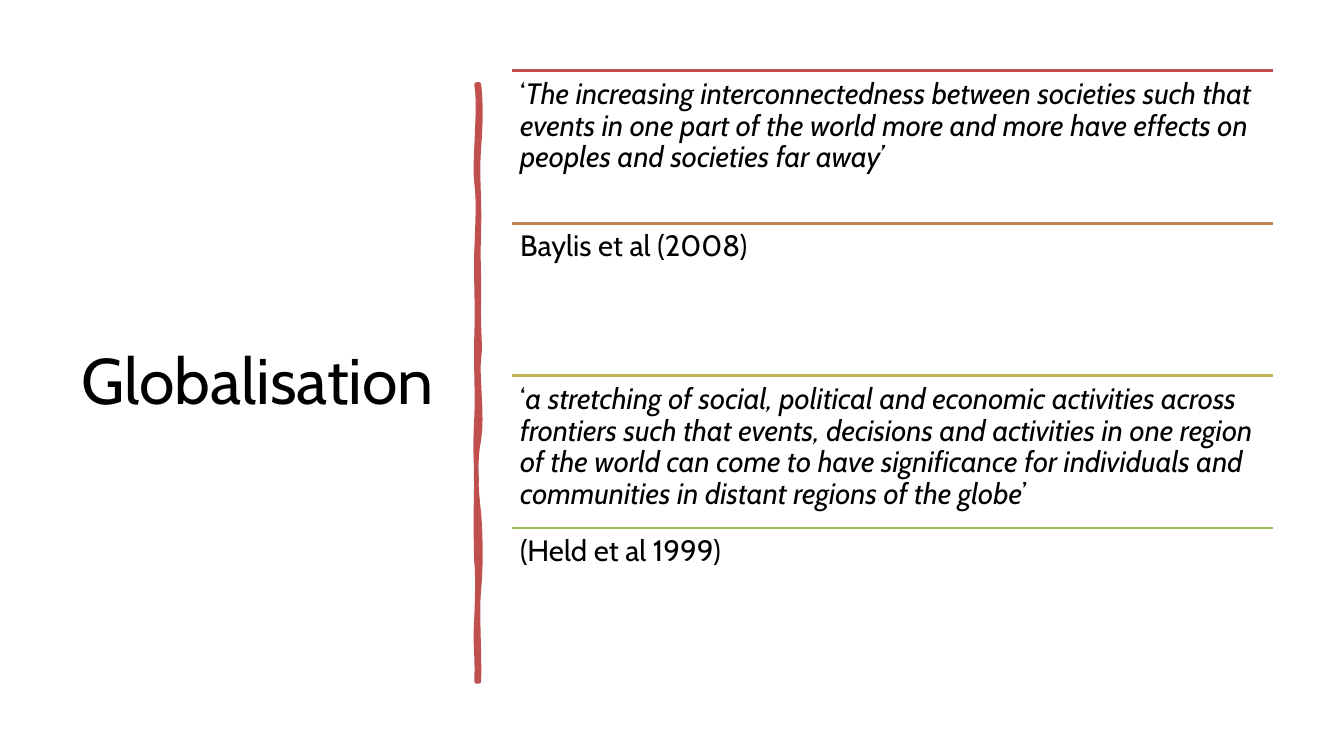
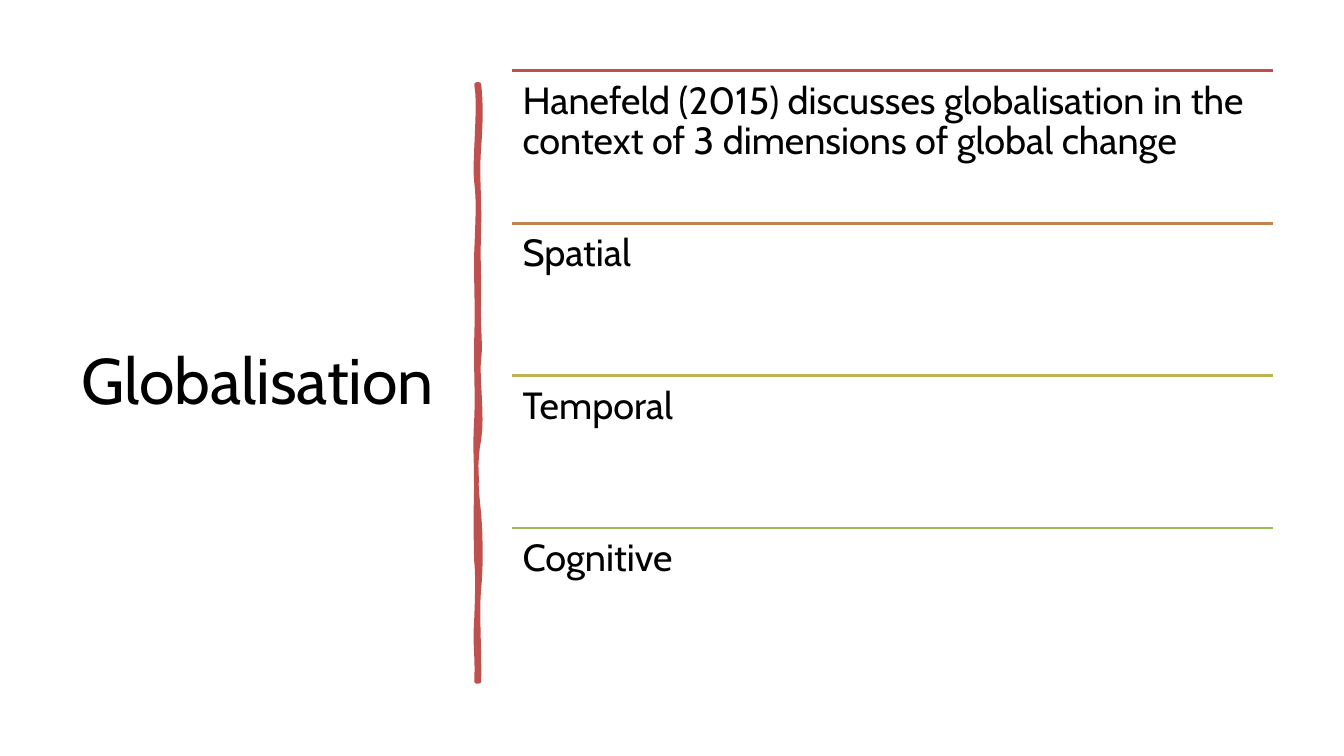
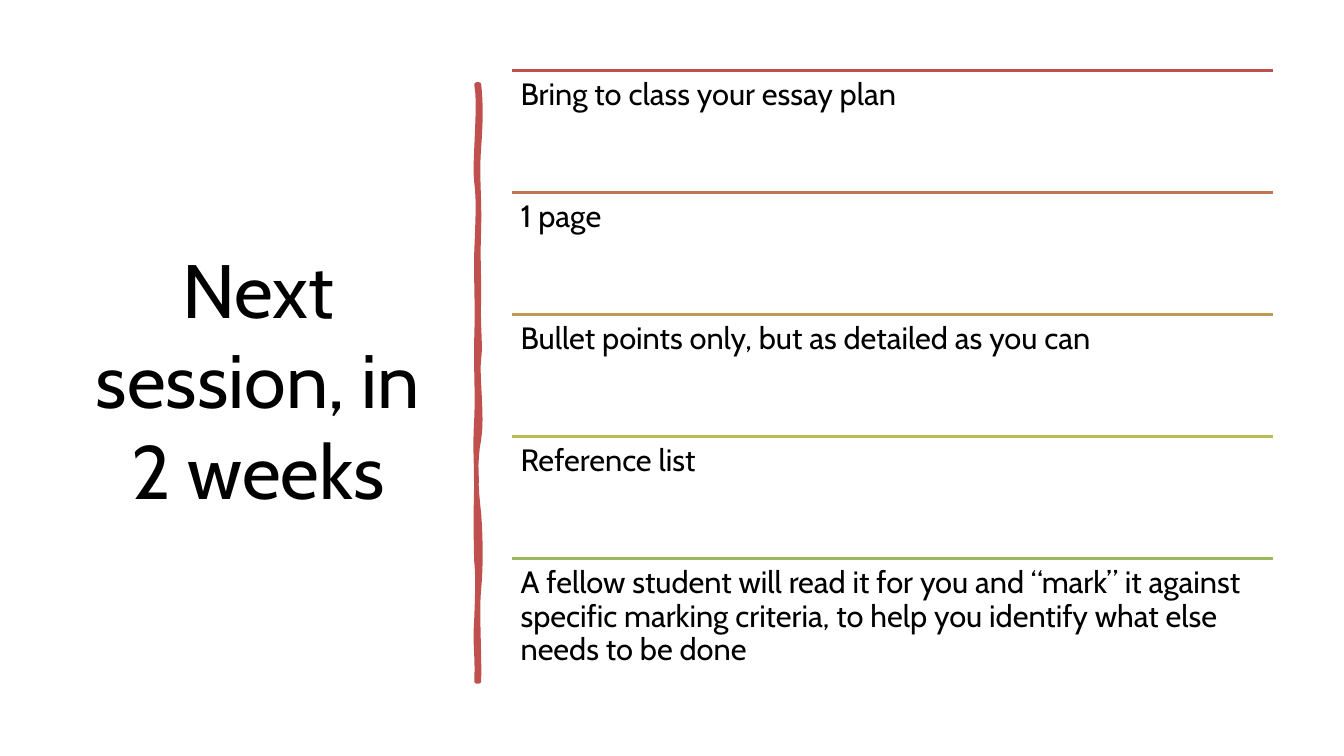
import colorsys
from dataclasses import dataclass

from lxml import etree
from pptx import Presentation
from pptx.dml.color import RGBColor
from pptx.enum import shapes, text
from pptx.oxml import ns
from pptx.util import Cm, Pt

# Each row is a list of (text, italic) spans.
SLIDES = [
    {"title": "Globalisation", "title_size": 46, "row_size": 21, "rows": [
        [("‘", False),
         ("The increasing interconnectedness between societies such that events in one "
          "part of the world more and more have effects on peoples and societies far away’",
          True)],
        [("Baylis et al (2008)", False)],
        [("‘", False),
         ("a stretching of social, political and economic activities across frontiers such "
          "that events, decisions and activities in one region of the world can come to have "
          "significance for individuals and communities in distant regions of the globe", True),
         ("’", False)],
        [("(Held et al 1999)", False)],
    ]},
    {"title": "Globalisation", "title_size": 46, "row_size": 27, "rows": [
        [("Hanefeld (2015) discusses globalisation in the context of 3 dimensions of "
          "global change", False)],
        [("Spatial", False)],
        [("Temporal", False)],
        [("Cognitive", False)],
    ]},
    {"title": "Next session, in 2 weeks", "title_size": 54, "row_size": 22, "rows": [
        [("Bring to class your essay plan", False)],
        [("1 page", False)],
        [("Bullet points only, but as detailed as you can", False)],
        [("Reference list", False)],
        [("A fellow student will read it for you and “mark” it against specific marking "
          "criteria, to help you identify what else needs to be done", False)],
    ]},
]


@dataclass(frozen=True)
class Theme:
    font: str = "Cabin"
    ink: str = "000000"
    first_rule: str = "C0504D"
    last_rule: str = "9BBB59"
    rule_width: float = 2
    bar_width: float = 3.25
    row_spacing: float = 0.9
    inset_per_point: float = 0.01


THEME = Theme()

# Lengths in centimetres: left, top, width, height
PAGE = (33.87, 19.05)
TITLE_AREA = (1.75, 1.78, 9.5, 15.52)
ROW_AREA = (12.9, 1.78, 19.18, 15.37)

# Hand-drawn bar: x offsets from its axis and y positions.
# Each curve holds two control points and an end point.
BAR_AXIS = 12.04
BAR_TOP, BAR_BOTTOM, BAR_HALF = 2.13, 17.17, 0.03
RIGHT_EDGE = [
    ((0.08, 2.59), (0.08, 3.02), (0.03, 3.71)),
    ((-0.03, 4.39), (0.05, 4.95), (0.03, 5.74)),
    ((0, 6.53), (0.03, 6.65), (0.03, 7.47)),
    ((0, 8.26), (0.08, 8.69), (0.03, 9.04)),
    ((-0.03, 9.4), (0.13, 10.52), (0.03, 11.07)),
    ((-0.08, 11.61), (-0.05, 12.29), (0.03, 12.95)),
    ((0.08, 13.61), (0.08, 14.33), (0.03, 14.83)),
    ((-0.03, 15.32), (0.05, 16.51), (0.03, 17.17)),
]
LEFT_EDGE = [
    ((0, 16.41), (-0.08, 16.36), (-0.03, 15.57)),
    ((0, 14.81), (0, 14.48), (-0.03, 14.15)),
    ((-0.05, 13.82), (-0.05, 12.57), (-0.03, 12.12)),
    ((-0.03, 11.66), (-0.08, 11.4), (-0.03, 10.54)),
    ((0, 9.8), (-0.05, 9.47), (-0.03, 8.51)),
    ((0, 7.57), (-0.05, 7.14), (-0.03, 6.35)),
    ((0, 5.54), (0.03, 5.08), (-0.03, 4.6)),
    ((-0.1, 4.14), (0.08, 2.64), (-0.03, 2.13)),
]


def rgb(value):
    return RGBColor.from_string(value)


def blend(share):
    """Colour between the first and last rule, mixed by hue."""
    ends = []
    for value in (THEME.first_rule, THEME.last_rule):
        ends.append(colorsys.rgb_to_hls(*(part / 255 for part in rgb(value))))
    mixed = [a + (b - a) * share for a, b in zip(*ends)]
    return RGBColor(*(round(part * 255) for part in colorsys.hls_to_rgb(*mixed)))


def trace(start, curves, steps=8):
    """Points along a chain of cubic curves, start included."""
    points = [start]
    for c1, c2, end in curves:
        p0 = points[-1]
        for step in range(1, steps + 1):
            t = step / steps
            u = 1 - t
            points.append(tuple(
                u**3 * a + 3 * u * u * t * b + 3 * u * t * t * c + t**3 * d
                for a, b, c, d in zip(p0, c1, c2, end)))
    return points


def add_text(page, area, spans, size, inset=None, **layout):
    box = page.shapes.add_textbox(*(Cm(length) for length in area))
    frame = box.text_frame
    frame.word_wrap = True
    frame.vertical_anchor = layout.pop("anchor", text.MSO_ANCHOR.TOP)
    if inset is not None:
        for side in ("left", "top", "right", "bottom"):
            setattr(frame, f"margin_{side}", Cm(inset))
    para = frame.paragraphs[0]
    for name, value in layout.items():
        setattr(para, name, value)
    for words, italic in spans:
        span = para.add_run()
        span.text = words
        style = {"name": THEME.font, "size": Pt(size), "italic": italic}
        for name, value in style.items():
            setattr(span.font, name, value)
        span.font.color.rgb = rgb(THEME.ink)


def add_bar(page):
    outline = trace((BAR_HALF, BAR_TOP), RIGHT_EDGE)
    outline += trace((-BAR_HALF, BAR_BOTTOM), LEFT_EDGE)
    points = [(Cm(BAR_AXIS + x), Cm(y)) for x, y in outline]
    builder = page.shapes.build_freeform(*points[0])
    builder.add_line_segments(points[1:], close=True)
    bar = builder.convert_to_shape()
    bar.shadow.inherit = False
    bar.fill.solid()
    bar.fill.fore_color.rgb = bar.line.color.rgb = rgb(THEME.first_rule)
    bar.line.width = Pt(THEME.bar_width)
    etree.SubElement(bar.line._get_or_add_ln(), ns.qn("a:round"))


def add_rule(page, left, top, width, color):
    rule = page.shapes.add_connector(
        shapes.MSO_CONNECTOR.STRAIGHT, Cm(left), Cm(top), Cm(left + width), Cm(top))
    rule.line.color.rgb = color
    rule.line.width = Pt(THEME.rule_width)
    etree.SubElement(rule._element.spPr, ns.qn("a:effectLst"))


def add_rows(page, rows, size):
    left, top, width, height = ROW_AREA
    pitch = height / len(rows)
    for index, spans in enumerate(rows):
        row_top = top + index * pitch
        add_rule(page, left, row_top, width, blend(index / (len(rows) - 1)))
        add_text(page, (left, row_top, width, pitch), spans, size,
                 inset=size * THEME.inset_per_point, line_spacing=THEME.row_spacing)


def main():
    deck = Presentation()
    deck.slide_width, deck.slide_height = (Cm(length) for length in PAGE)
    for content in SLIDES:
        page = deck.slides.add_slide(deck.slide_layouts[6])
        add_text(page, TITLE_AREA, [(content["title"], False)], content["title_size"],
                 anchor=text.MSO_ANCHOR.MIDDLE, alignment=text.PP_ALIGN.CENTER)
        add_bar(page)
        add_rows(page, content["rows"], content["row_size"])
    deck.save("out.pptx")


if __name__ == "__main__":
    main()
